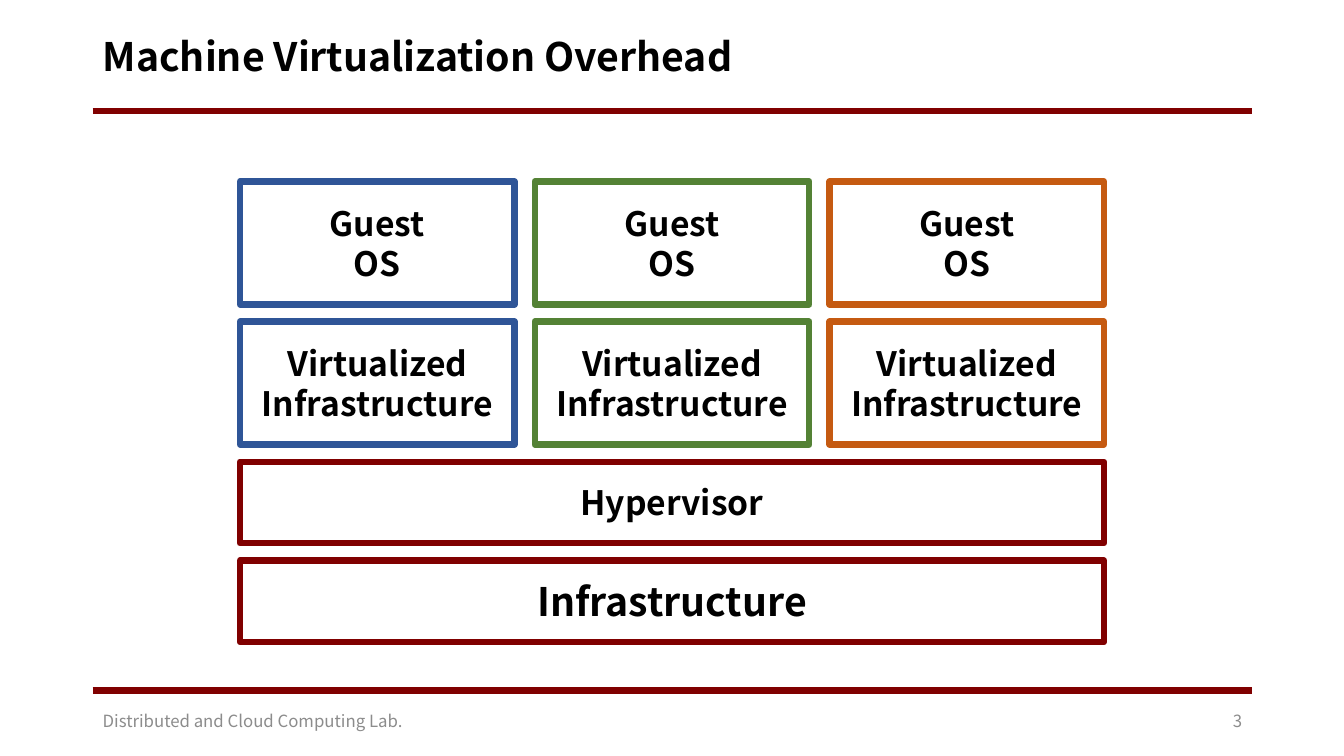
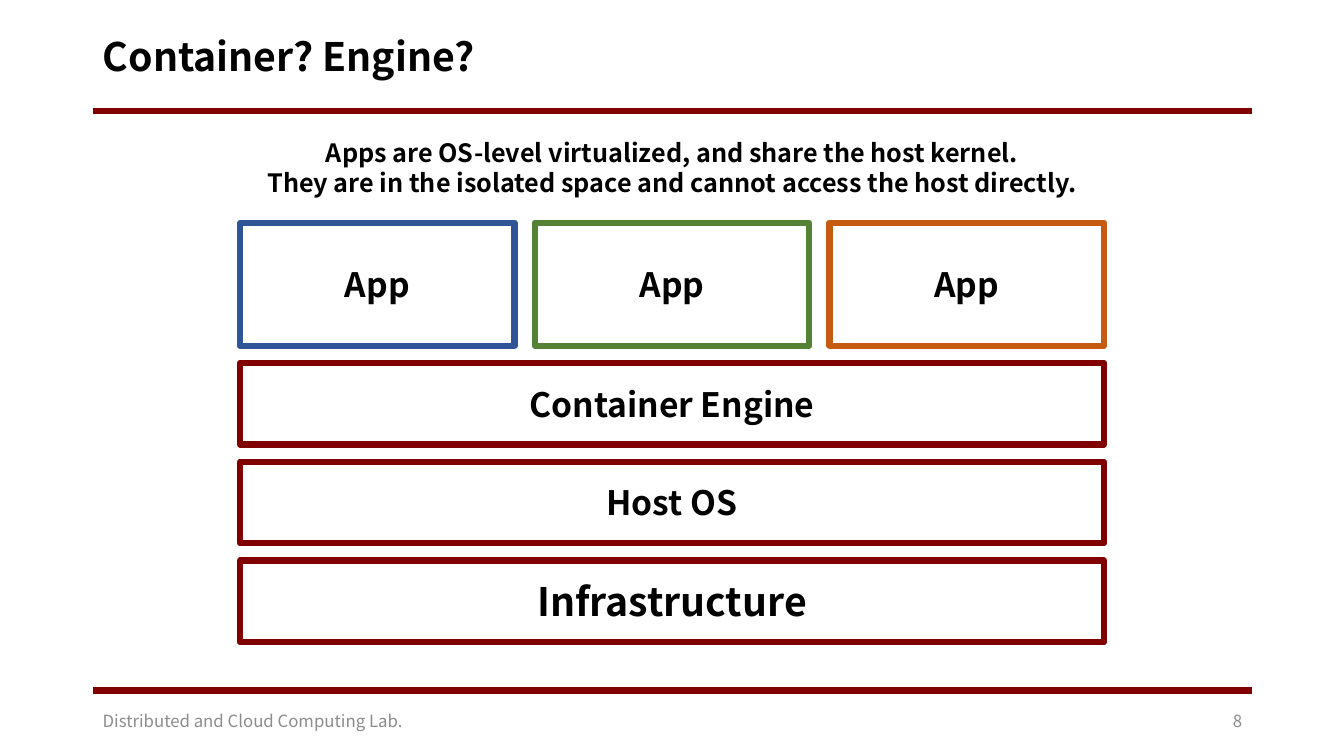
from pptx import Presentation
from pptx.dml.color import RGBColor
from pptx.enum.shapes import MSO_CONNECTOR, MSO_SHAPE
from pptx.enum.text import MSO_ANCHOR, MSO_AUTO_SIZE, PP_ALIGN
from pptx.oxml.ns import qn
from pptx.util import Inches, Pt

RECTANGLE, STRAIGHT = MSO_SHAPE.RECTANGLE, MSO_CONNECTOR.STRAIGHT
LEFT, CENTER, RIGHT = PP_ALIGN.LEFT, PP_ALIGN.CENTER, PP_ALIGN.RIGHT
TOP, MIDDLE = MSO_ANCHOR.TOP, MSO_ANCHOR.MIDDLE
FIXED_SIZE = MSO_AUTO_SIZE.NONE

FONT = "Noto Sans CJK KR"
MAROON, BLACK, GRAY = "800000", "000000", "8C8C8C"
TENANT_COLORS = ["2F5597", "548235", "C55A11"]
STROKE = 4.5

SLIDE_W, SLIDE_H = 13.33, 7.5
MARGIN, CONTENT_W = 0.92, 11.5
TITLE_BOX = (MARGIN, 0.15, CONTENT_W, 0.86)
RULE_TOPS = (1.1, 6.85)
FOOTER_TOP, FOOTER_H = 6.95, 0.4
LAB_W, NUMBER_W = 4.5, 3
STACK_LEFT, STACK_W, STACK_BOTTOM = 2.38, 8.57, 6.37
ROW_GAP, COLUMN_GAP = 0.17, 0.2
LAYER_H, TENANT_H = 0.81, 1.22
CAPTION_BOX = (STACK_LEFT, 1.31, STACK_W, 0.71)


def color(value):
    """Turn a hex string into a colour."""
    return RGBColor.from_string(value)


def inches(*lengths):
    """Convert lengths in inches to slide units."""
    return [Inches(length) for length in lengths]


def write(frame, text, size, align=CENTER, anchor=MIDDLE, ink=BLACK, bold=True):
    """Fill a text frame, one paragraph for each line of the text."""
    frame.text = text
    frame.word_wrap = True
    frame.auto_size = FIXED_SIZE
    frame.vertical_anchor = anchor
    for paragraph in frame.paragraphs:
        paragraph.alignment = align
        font = paragraph.font
        font.name, font.size, font.bold = FONT, Pt(size), bold
        font.color.rgb = color(ink)


def add_label(slide, box, text, size, **style):
    """Put free text into a box."""
    label = slide.shapes.add_textbox(*inches(*box))
    write(label.text_frame, text, size, **style)


def add_rule(slide, left, top, width):
    """Draw a horizontal maroon rule."""
    rule = slide.shapes.add_connector(
        STRAIGHT, *inches(left, top, left + width, top))
    rule.line.color.rgb = color(MAROON)
    rule.line.width = Pt(STROKE)
    properties = rule._element.spPr
    properties.append(properties.makeelement(qn("a:effectLst"), {}))


def add_block(slide, box, text, outline, size):
    """Draw an outlined block with centred text."""
    block = slide.shapes.add_shape(RECTANGLE, *inches(*box))
    block.shadow.inherit = False
    block.fill.background()
    block.line.color.rgb = color(outline)
    block.line.width = Pt(STROKE)
    write(block.text_frame, text, size)


def add_tenants(slide, box, text):
    """Divide a box into equal columns, one block per tenant."""
    left, top, width, height = box
    count = len(TENANT_COLORS)
    column_w = (width - COLUMN_GAP * (count - 1)) / count
    for column, outline in enumerate(TENANT_COLORS):
        column_left = left + column * (column_w + COLUMN_GAP)
        add_block(slide, (column_left, top, column_w, height), text, outline, 24)


def add_stack(slide, left, bottom, width, layers, tenants):
    """Pile full-width layers and then tenant rows upwards from the bottom."""
    for level, text in enumerate(layers):
        bottom -= LAYER_H
        size = 28 if level == 0 else 24
        add_block(slide, (left, bottom, width, LAYER_H), text, MAROON, size)
        bottom -= ROW_GAP
    for text in tenants:
        bottom -= TENANT_H
        add_tenants(slide, (left, bottom, width, TENANT_H), text)
        bottom -= ROW_GAP


def add_footer(slide, left, top, width, height, number):
    """Place the lab name on the left and the page number on the right."""
    add_label(slide, (left, top, LAB_W, height),
              "Distributed and Cloud Computing Lab.", 12,
              align=LEFT, ink=GRAY, bold=False)
    add_label(slide, (left + width - NUMBER_W, top, NUMBER_W, height),
              str(number), 12, align=RIGHT, ink=GRAY, bold=False)


def add_stack_slide(deck, title, number, layers, tenants, caption=None):
    """Build a slide with a title, an optional caption and a stack."""
    slide = deck.slides.add_slide(deck.slide_layouts.get_by_name("Title Only"))
    for top in RULE_TOPS:
        add_rule(slide, MARGIN, top, CONTENT_W)
    heading = slide.shapes.title
    heading.left, heading.top, heading.width, heading.height = inches(*TITLE_BOX)
    write(heading.text_frame, title, 28, align=LEFT)
    heading.text_frame.paragraphs[0].line_spacing = 0.9
    add_footer(slide, MARGIN, FOOTER_TOP, CONTENT_W, FOOTER_H, number)
    add_stack(slide, STACK_LEFT, STACK_BOTTOM, STACK_W, layers, tenants)
    if caption:
        add_label(slide, CAPTION_BOX, caption, 18, anchor=TOP)


deck = Presentation()
deck.slide_width, deck.slide_height = inches(SLIDE_W, SLIDE_H)
add_stack_slide(
    deck, "Machine Virtualization Overhead", 3,
    layers=["Infrastructure", "Hypervisor"],
    tenants=["Virtualized\nInfrastructure", "Guest\nOS"])
add_stack_slide(
    deck, "Container? Engine?", 8,
    layers=["Infrastructure", "Host OS", "Container Engine"],
    tenants=["App"],
    caption="Apps are OS-level virtualized, and share the host kernel.\n"
            "They are in the isolated space and cannot access the host directly.")
deck.save("out.pptx")
